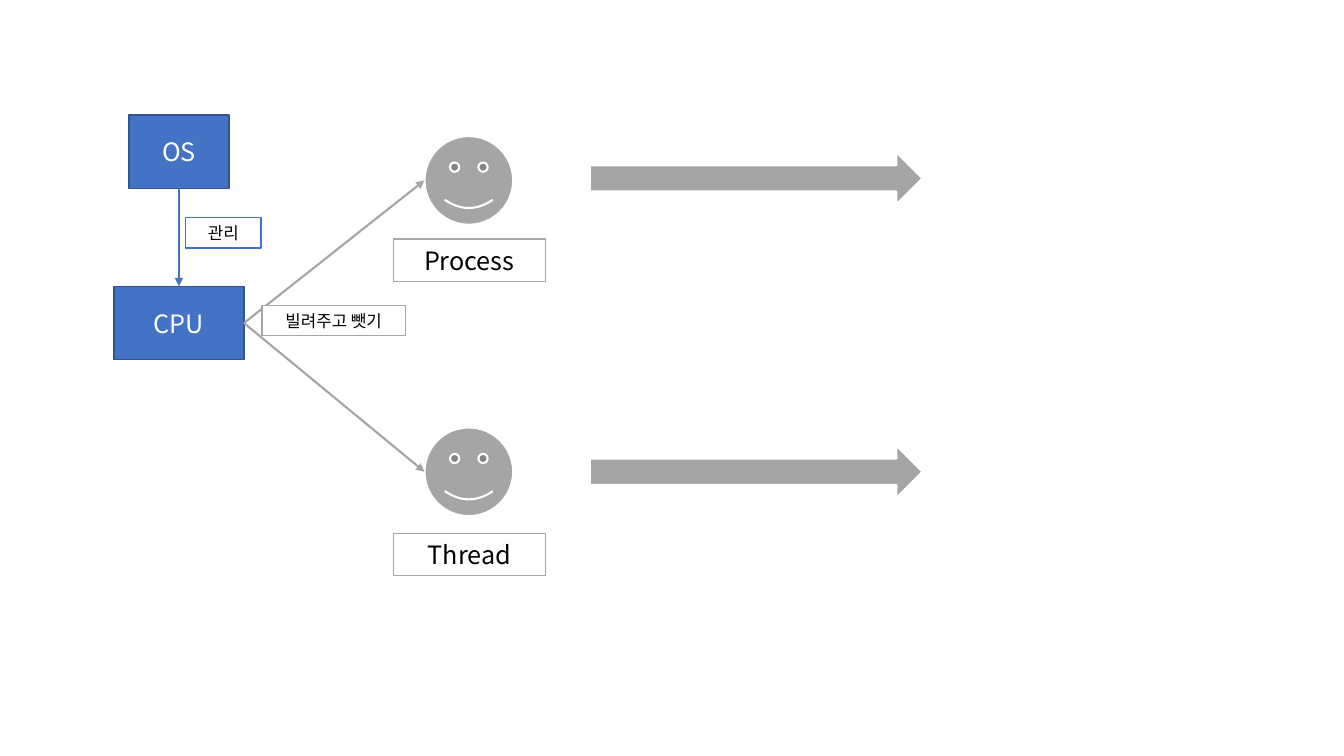
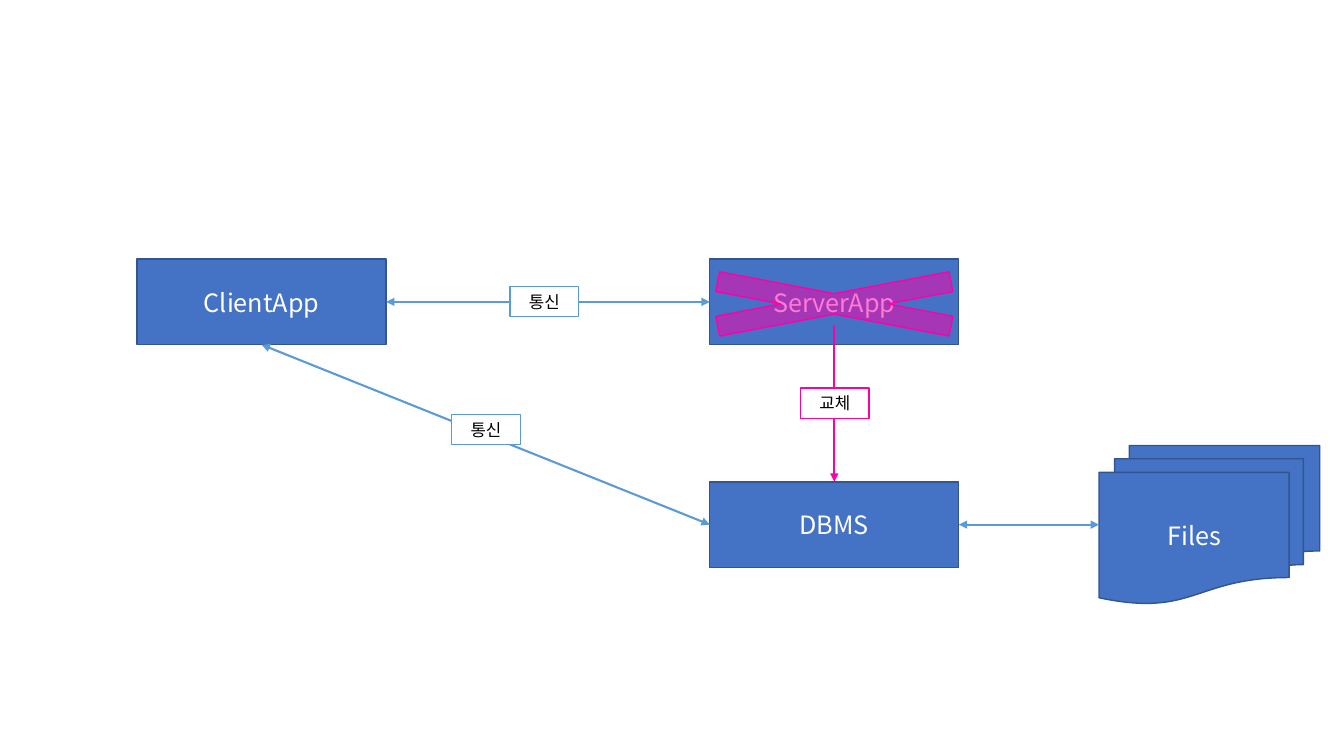
from dataclasses import dataclass

from pptx import Presentation
from pptx.dml.color import RGBColor
from pptx.enum.shapes import MSO_CONNECTOR, MSO_SHAPE
from pptx.enum.text import MSO_ANCHOR, PP_ALIGN
from pptx.oxml.ns import qn
from pptx.util import Inches, Pt
from lxml.etree import SubElement


@dataclass(frozen=True)
class Theme:
    font: str = "Noto Sans CJK KR"
    blue: str = "4472C4"
    navy: str = "325491"
    sky: str = "5B9BD5"
    gray: str = "A5A5A5"
    pink: str = "FF00A8"
    white: str = "FFFFFF"
    black: str = "000000"
    body: int = 18
    label: int = 12
    thin: float = 1
    thick: float = 1.5


T = Theme()

# Position of each side on a shape, as fractions of its width and height
SIDES = {"top": (0.5, 0), "left": (0, 0.5), "bottom": (0.5, 1), "right": (1, 0.5)}
SITES = {side: i for i, side in enumerate(SIDES)}
SMILEY_LEFT = 2  # a smiley has eight connection sites


def rgb(color):
    return RGBColor.from_string(color)


# Shapes
def add_shape(s, kind, at, fill, line, width=T.thin):
    sp = s.shapes.add_shape(kind, *map(Inches, at))
    sp.shadow.inherit = False
    sp.fill.solid()
    sp.fill.fore_color.rgb = rgb(fill)
    sp.line.color.rgb = rgb(line)
    sp.line.width = Pt(width)
    return sp


def set_text(sp, text, size, color):
    tf = sp.text_frame
    tf.word_wrap = True
    tf.vertical_anchor = MSO_ANCHOR.MIDDLE
    p = tf.paragraphs[0]
    p.text = text
    p.alignment = PP_ALIGN.CENTER
    p.font.size = Pt(size)
    p.font.color.rgb = rgb(color)
    p.font.name = T.font
    # East Asian font for the Korean text
    SubElement(p._p.pPr.find(qn("a:defRPr")), qn("a:ea"), typeface=T.font)


def node(s, text, at, kind=MSO_SHAPE.RECTANGLE):
    sp = add_shape(s, kind, at, T.blue, T.navy)
    set_text(sp, text, T.body, T.white)
    return sp


def label(s, text, at, line, size=T.label):
    sp = add_shape(s, MSO_SHAPE.RECTANGLE, at, T.white, line)
    set_text(sp, text, size, T.black)


def cross_out(s, at):
    sp = add_shape(s, MSO_SHAPE.MATH_MULTIPLY, at, T.pink, T.pink)
    color = sp._element.spPr.find(qn("a:solidFill"))[0]
    SubElement(color, qn("a:alpha"), val="52000")


# Connectors
def side_point(sp, side):
    fx, fy = SIDES[side]
    return sp.left + int(sp.width * fx), sp.top + int(sp.height * fy)


def arrow(s, start, end, color, both=False):
    cn = s.shapes.add_connector(MSO_CONNECTOR.STRAIGHT, *start, *end)
    cn.line.color.rgb = rgb(color)
    cn.line.width = Pt(T.thick)
    spPr = cn._element.spPr
    ln = spPr.find(qn("a:ln"))
    for tag in ("a:headEnd", "a:tailEnd") if both else ("a:tailEnd",):
        SubElement(ln, qn(tag), type="triangle")
    SubElement(spPr, qn("a:effectLst"))
    return cn


def link(s, a, a_side, b, b_side, color, both=False, b_site=None):
    end = side_point(b, b_side)
    cn = arrow(s, side_point(a, a_side), end, color, both)
    cn.begin_connect(a, SITES[a_side])
    cn.end_connect(b, SITES[b_side] if b_site is None else b_site)
    cn.end_x, cn.end_y = end


# Slides
def scheduling_slide(s):
    system = node(s, "OS", (1.28, 1.14, 0.99, 0.73))
    cpu = node(s, "CPU", (1.13, 2.84, 1.29, 0.73))
    link(s, system, "bottom", cpu, "top", T.blue)

    # One row per worker: name, top of face, name label and arrow
    for name, face_y, name_y, arrow_y in (("Process", 1.35, 2.37, 1.51),
                                          ("Thread", 4.24, 5.29, 4.42)):
        label(s, name, (3.9, name_y, 1.51, 0.42), T.gray, T.body)
        face = add_shape(s, MSO_SHAPE.SMILEY_FACE, (4.21, face_y, 0.88, 0.88),
                         T.gray, T.white, T.thick)
        link(s, cpu, "right", face, "left", T.gray, b_site=SMILEY_LEFT)
        add_shape(s, MSO_SHAPE.RIGHT_ARROW, (5.85, arrow_y, 3.3, 0.52),
                  T.gray, T.white, T.thick)

    label(s, "관리", (1.84, 2.16, 0.75, 0.3), T.blue)
    label(s, "빌려주고 뺏기", (2.6, 3.03, 1.42, 0.3), T.gray)


def dbms_slide(s):
    box = (2.47, 0.85)
    client = node(s, "ClientApp", (1.36, 2.57, *box))
    server = node(s, "ServerApp", (7.04, 2.57, *box))
    dbms = node(s, "DBMS", (7.04, 4.78, *box))
    files = node(s, "Files", (10.9, 4.42, 2.19, 1.57),
                 MSO_SHAPE.FLOWCHART_MULTIDOCUMENT)

    # Communication paths
    for a, a_side, b, b_side in ((server, "left", client, "right"),
                                 (dbms, "right", files, "left"),
                                 (client, "bottom", dbms, "left")):
        link(s, a, a_side, b, b_side, T.sky, both=True)

    # The server is replaced by the DBMS
    cross_out(s, (6.05, 2.59, 4.45, 0.85))
    x, y = side_point(dbms, "top")
    arrow(s, (x, Inches(3.22)), (x, y), T.pink)

    for text, left, top, color in (("통신", 5.06, 2.84, T.sky),
                                   ("통신", 4.48, 4.11, T.sky),
                                   ("교체", 7.94, 3.85, T.pink)):
        label(s, text, (left, top, 0.68, 0.3), color)


def main():
    prs = Presentation()
    prs.slide_width, prs.slide_height = Inches(13.33), Inches(7.5)
    blank = prs.slide_layouts[6]
    for build in (scheduling_slide, dbms_slide):
        build(prs.slides.add_slide(blank))
    prs.save("out.pptx")


if __name__ == "__main__":
    main()
